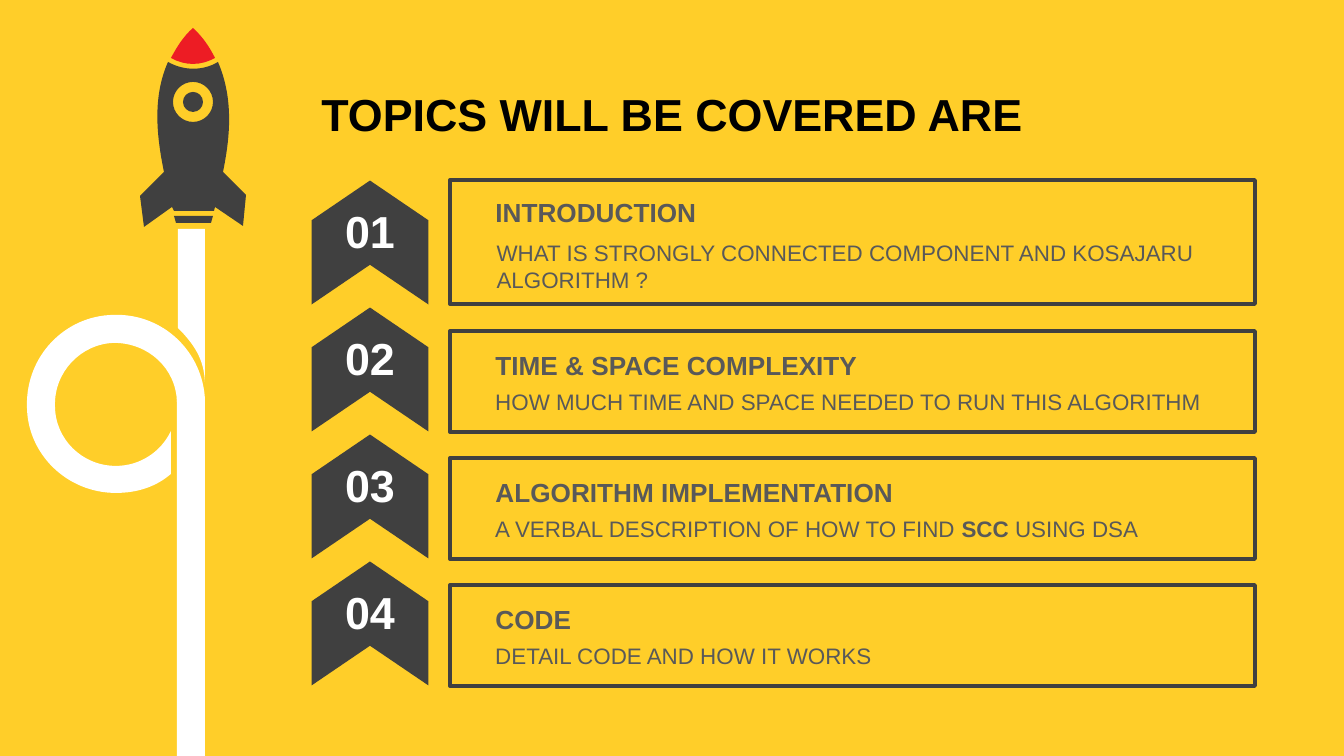
import pptx
import pptx.util
import pptx.dml.color
import pptx.enum.shapes
import pptx.enum.text
import pptx.oxml
import pptx.oxml.ns

PX = 9144000 / 1344
YELLOW, DARK, GREY, WHITE, RED, BLACK = (
    "FFCE29", "404040", "595959", "FFFFFF", "ED1C24", "000000")
SHAPES = pptx.enum.shapes.MSO_SHAPE
ALIGN = pptx.enum.text.PP_ALIGN

TOPICS = [
    ("INTRODUCTION",
     "WHAT IS STRONGLY CONNECTED COMPONENT AND KOSAJARU ALGORITHM ?"),
    ("TIME & SPACE COMPLEXITY",
     "HOW MUCH TIME AND SPACE NEEDED TO RUN THIS ALGORITHM"),
    ("ALGORITHM IMPLEMENTATION",
     "A VERBAL DESCRIPTION OF HOW TO FIND **SCC **USING DSA"),
    ("CODE", "DETAIL CODE AND HOW IT WORKS"),
]


def px(length):
    return pptx.util.Emu(round(length * PX))


def colour(value):
    return pptx.dml.color.RGBColor.from_string(value)


def paint(shape, fill=None, line=None):
    shape.shadow.inherit = False
    if fill:
        shape.fill.solid()
        shape.fill.fore_color.rgb = colour(fill)
    else:
        shape.fill.background()
    if line:
        shape.line.color.rgb = colour(line)
        shape.line.width = pptx.util.Pt(2)
    else:
        shape.line.fill.background()
    return shape


def add_block(parent, kind, x, y, width, height, fill=None, line=None):
    shape = parent.shapes.add_shape(kind, px(x), px(y), px(width), px(height))
    return paint(shape, fill, line)


def write(box, text, size, ink, bold=False, align=ALIGN.LEFT):
    """Fill a box with one paragraph; parts between ** are bold."""
    frame = box.text_frame
    frame.word_wrap = True
    frame.auto_size = pptx.enum.text.MSO_AUTO_SIZE.NONE
    frame.vertical_anchor = pptx.enum.text.MSO_ANCHOR.MIDDLE
    para = frame.paragraphs[0]
    para.alignment = align
    for index, part in enumerate(text.split("**")):
        span = para.add_run()
        span.text = part
        span.font.name = "Arial"
        span.font.size = pptx.util.Pt(size)
        span.font.bold = bold or index % 2 == 1
        span.font.color.rgb = colour(ink)


def circle(x, y, radius):
    """Four curves; a curve is one tuple of two handles and an end."""
    k = 0.55
    quarters = [(1, k, k, 1, 0, 1), (-k, 1, -1, k, -1, 0),
                (-1, -k, -k, -1, 0, -1), (k, -1, 1, -k, 1, 0)]
    return [(x + radius, y)] + [
        tuple((x, y)[i % 2] + radius * value for i, value in enumerate(quarter))
        for quarter in quarters]


def add_outline(page, x, y, contours, fill):
    """Draw closed contours of corners (pairs) and curves (six numbers)."""
    builder = None
    for contour in contours:
        points = [(px(x + part[i]), px(y + part[i + 1]))
                  for part in contour for i in range(0, len(part), 2)]
        if builder is None:
            builder = page.shapes.build_freeform(*points[0])
        else:
            builder.move_to(*points[0])
        builder.add_line_segments(points[1:], close=True)
    shape = paint(builder.convert_to_shape(), fill)

    # Merge the three segments of each curve into one cubic
    segments = iter(list(shape._element.iter(pptx.oxml.ns.qn("a:lnTo"))))
    for contour in contours:
        for part in contour[1:]:
            pieces = [next(segments) for _ in range(len(part) // 2)]
            if len(pieces) == 3:
                curve = pptx.oxml.parse_xml(
                    f"<a:cubicBezTo {pptx.oxml.ns.nsdecls('a')}/>")
                pieces[0].addprevious(curve)
                for piece in pieces:
                    curve.append(piece[0])
                    piece.getparent().remove(piece)


def add_trail(page, x, y):
    loop = [(87, 86), (137, 84, 177, 123, 179, 171), (151, 173),
            (150, 139, 122, 114, 88, 114), (55, 115, 28, 143, 29, 177),
            (29, 210, 56, 237, 90, 237), (114, 237, 135, 223, 145, 202),
            (145, 245), (130, 258, 111, 264, 90, 264),
            (41, 264, 1, 225, 1, 177), (0, 127, 39, 87, 87, 86)]
    loop_end = [(173, 177), (179, 177), (179, 188, 177, 199, 173, 209)]
    upper = [(152, 0), (179, 0), (179, 153), (178, 130, 168, 115, 152, 99)]
    add_outline(page, x, y, [loop_end, loop], WHITE)
    add_outline(page, x, y, [upper], WHITE)
    add_block(page, SHAPES.RECTANGLE, x + 151, y + 169, 28, 358, WHITE)


def add_rocket(page, x, y):
    body = [(29, 34), (45, 43, 64, 43, 79, 34), (95, 71, 91, 110, 84, 144),
            (107, 167), (104, 198), (76, 179), (75, 183), (35, 183), (33, 179),
            (5, 199), (1, 168), (25, 144), (18, 110, 13, 70, 29, 34)]
    nozzle = [(35, 188), (74, 188), (72, 195), (37, 195)]
    window = [circle(54, 74, 10), circle(54, 74, 20)]
    nose = [(54, 0), (64, 9, 71, 20, 76, 30), (62, 38, 46, 38, 32, 30),
            (38, 19, 44, 9, 54, 0)]
    add_outline(page, x, y, [nozzle] + window + [body], DARK)
    add_outline(page, x, y, [nose], RED)


def add_title(page, x, y, width, height):
    title = page.shapes.title
    title.left, title.top, title.width, title.height = map(px, (x, y, width, height))
    write(title, "TOPICS WILL BE COVERED ARE", 24, BLACK, bold=True, align=ALIGN.CENTER)


def add_topic(page, x, y, number, heading, detail, tall=False):
    # The tall frame holds two lines of detail
    top, height = (y - 1, 124) if tall else (y + 23, 101)
    heading_top, detail_top, detail_height = (7, 49, 71) if tall else (9, 48, 43)
    add_block(page, SHAPES.RECTANGLE, x + 139, top, 805, height, line=DARK)

    # Heading and detail
    group = page.shapes.add_group_shape()
    for offset, depth, text, size, bold in (
            (heading_top, 47, heading, 14, True),
            (detail_top, detail_height, detail, 12, False)):
        label = add_block(group, SHAPES.ROUND_2_SAME_RECTANGLE,
                          x + 169, top + offset, 741, depth)
        write(label, text, size, GREY, bold=bold)

    # Upward chevron with the number
    chevron = add_block(page, SHAPES.CHEVRON, x - 3, y + 3, 124, 117, DARK)
    chevron.adjustments[0] = 0.34
    chevron.rotation = 270
    badge = page.shapes.add_textbox(px(x + 18), px(y + 16), px(82), px(67))
    write(badge, f"{number:02}", 24, WHITE, bold=True, align=ALIGN.CENTER)


def main():
    deck = pptx.Presentation()
    deck.slide_width, deck.slide_height = px(1344), px(756)
    page = deck.slides.add_slide(deck.slide_layouts[5])
    page.background.fill.solid()
    page.background.fill.fore_color.rgb = colour(YELLOW)

    add_trail(page, 26, 229)
    add_rocket(page, 139, 28)
    add_title(page, 0, 71, 1344, 85)
    for index, (heading, detail) in enumerate(TOPICS):
        add_topic(page, 311, 181 + 127 * index, index + 1, heading, detail,
                  tall=index == 0)
    deck.save("out.pptx")


if __name__ == "__main__":
    main()
